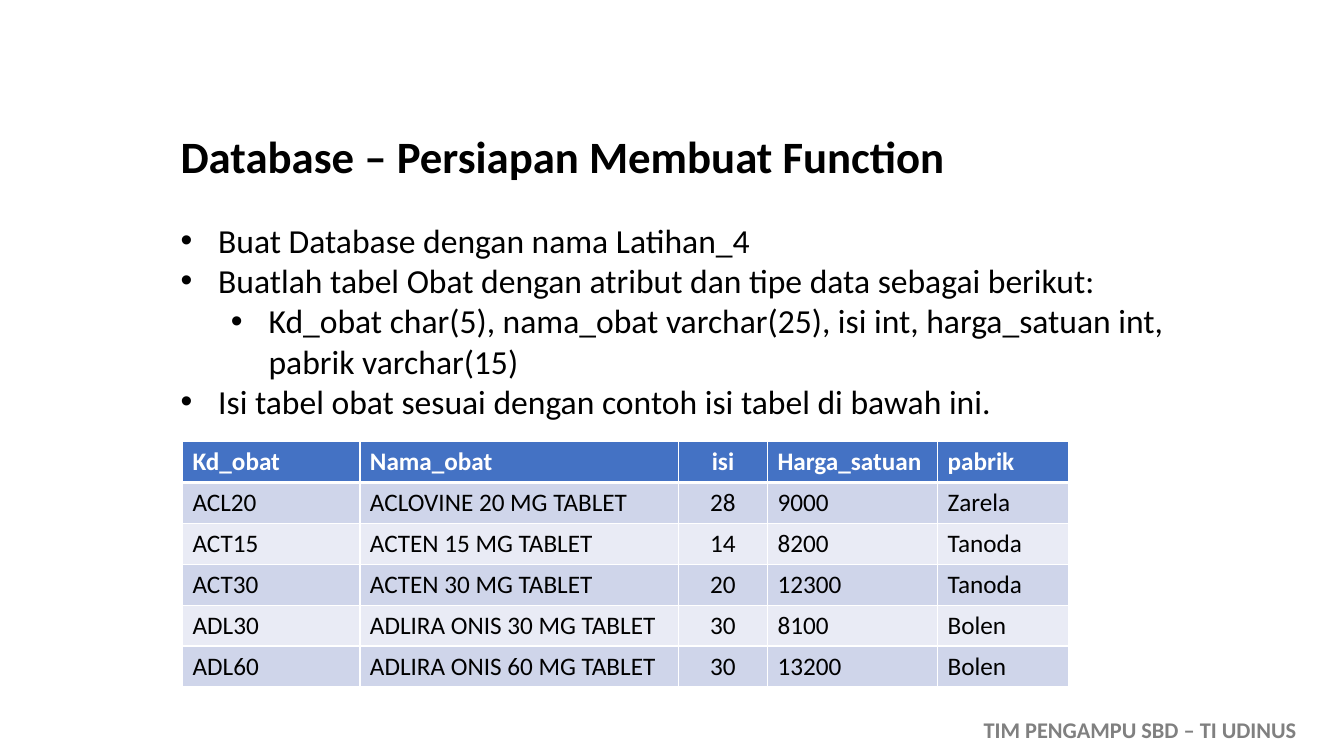
from lxml import etree
from pptx import Presentation
from pptx.dml.color import RGBColor
from pptx.enum.text import MSO_ANCHOR, PP_ALIGN
from pptx.oxml.ns import qn
from pptx.util import Cm, Pt

MIDDLE = MSO_ANCHOR.MIDDLE
CENTER = PP_ALIGN.CENTER
LEFT = PP_ALIGN.LEFT

BLACK = RGBColor(0x00, 0x00, 0x00)
WHITE = RGBColor(0xFF, 0xFF, 0xFF)
GRAY = RGBColor(0x80, 0x80, 0x80)
HEADER_BLUE = RGBColor(0x44, 0x72, 0xC4)
BAND_DARK = RGBColor(0xCF, 0xD5, 0xEA)
BAND_LIGHT = RGBColor(0xE9, 0xEB, 0xF5)

FONT = "Calibri"
BULLET_HANG = Cm(0.95)
LEVEL_STEP = Cm(1.27)
COLUMN_WIDTHS = [Cm(width) for width in (4.47, 8.03, 2.24, 4.29, 3.3)]
COUNT_COLUMN = 2

INSTRUCTIONS = [
    (0, "Buat Database dengan nama Latihan_4"),
    (0, "Buatlah tabel Obat dengan atribut dan tipe data sebagai berikut:"),
    (1, "Kd_obat char(5), nama_obat varchar(25), isi int, "
        "harga_satuan int, pabrik varchar(15)"),
    (0, "Isi tabel obat sesuai dengan contoh isi tabel di bawah ini."),
]
MEDICINES = [
    ("Kd_obat", "Nama_obat", "isi", "Harga_satuan", "pabrik"),
    ("ACL20", "ACLOVINE 20 MG TABLET", "28", "9000", "Zarela"),
    ("ACT15", "ACTEN 15 MG TABLET", "14", "8200", "Tanoda"),
    ("ACT30", "ACTEN 30 MG TABLET", "20", "12300", "Tanoda"),
    ("ADL30", "ADLIRA ONIS 30 MG TABLET", "30", "8100", "Bolen"),
    ("ADL60", "ADLIRA ONIS 60 MG TABLET", "30", "13200", "Bolen"),
]


def format_runs(para, size, color, bold=False):
    for span in para.runs:
        span.font.name = FONT
        span.font.size = Pt(size)
        span.font.color.rgb = color
        span.font.bold = bold


def add_line(slide, box, text, size, color, wrap):
    """Add a bold single-line text box and return its text frame."""
    frame = slide.shapes.add_textbox(*box).text_frame
    frame.word_wrap = wrap
    frame.text = text
    format_runs(frame.paragraphs[0], size, color, bold=True)
    return frame


def add_title(slide, box):
    frame = add_line(slide, box, "Database – Persiapan Membuat Function",
                     32, BLACK, wrap=True)
    frame.vertical_anchor = MIDDLE
    frame.paragraphs[0].line_spacing = 0.9


def add_footer(slide, box):
    add_line(slide, box, "TIM PENGAMPU SBD – TI UDINUS", 16, GRAY, wrap=False)


def set_bullet(para, level):
    para.level = level
    properties = para._p.get_or_add_pPr()
    properties.set("marL", str(BULLET_HANG + level * LEVEL_STEP))
    properties.set("indent", str(-BULLET_HANG))
    etree.SubElement(properties, qn("a:buFont"), typeface="Arial")
    etree.SubElement(properties, qn("a:buChar"), char="•")


def add_instructions(slide, box):
    frame = slide.shapes.add_textbox(*box).text_frame
    frame.word_wrap = True
    for index, (level, text) in enumerate(INSTRUCTIONS):
        para = frame.add_paragraph() if index else frame.paragraphs[0]
        para.text = text
        set_bullet(para, level)
        format_runs(para, 24, BLACK)


def set_borders(cell, top, bottom):
    """Draw white cell borders; top and bottom widths are in points."""
    properties = cell._tc.get_or_add_tcPr()
    for side, width in (("L", 1), ("R", 1), ("T", top), ("B", bottom)):
        line = etree.SubElement(properties, qn(f"a:ln{side}"), w=str(Pt(width)))
        fill = etree.SubElement(line, qn("a:solidFill"))
        etree.SubElement(fill, qn("a:srgbClr"), val=str(WHITE))


def add_medicine_table(slide, box):
    table = slide.shapes.add_table(len(MEDICINES), len(COLUMN_WIDTHS), *box).table
    for column, width in zip(table.columns, COLUMN_WIDTHS):
        column.width = width
    for row, values in enumerate(MEDICINES):
        is_header = row == 0
        band = BAND_DARK if row % 2 else BAND_LIGHT
        for column, text in enumerate(values):
            cell = table.cell(row, column)
            set_borders(cell, top=3 if row == 1 else 1, bottom=3 if is_header else 1)
            cell.fill.solid()
            cell.fill.fore_color.rgb = HEADER_BLUE if is_header else band
            cell.text = text
            para = cell.text_frame.paragraphs[0]
            para.alignment = CENTER if column == COUNT_COLUMN else LEFT
            format_runs(para, 18, WHITE if is_header else BLACK, bold=is_header)


def main():
    deck = Presentation()
    deck.slide_width, deck.slide_height = Cm(33.87), Cm(19.05)
    slide = deck.slides.add_slide(deck.slide_layouts[6])
    add_footer(slide, (Cm(24.54), Cm(17.91), Cm(8.51), Cm(0.94)))
    add_title(slide, (Cm(4.3), Cm(2.87), Cm(27.08), Cm(2.26)))
    add_medicine_table(slide, (Cm(4.6), Cm(11.13), sum(COLUMN_WIDTHS), Cm(6.18)))
    add_instructions(slide, (Cm(4.3), Cm(5.41), Cm(27.08), Cm(5.38)))
    deck.save("out.pptx")


if __name__ == "__main__":
    main()
